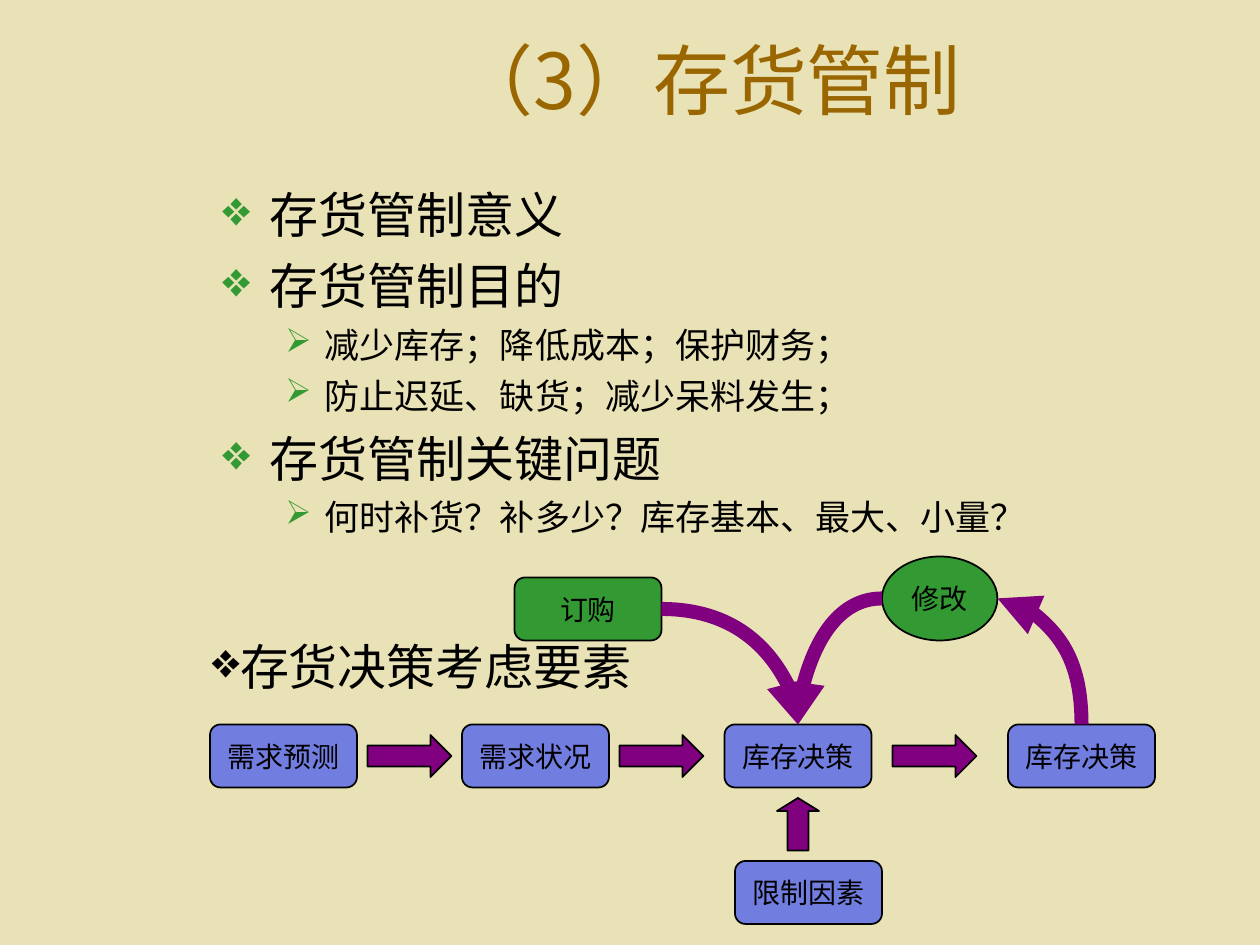
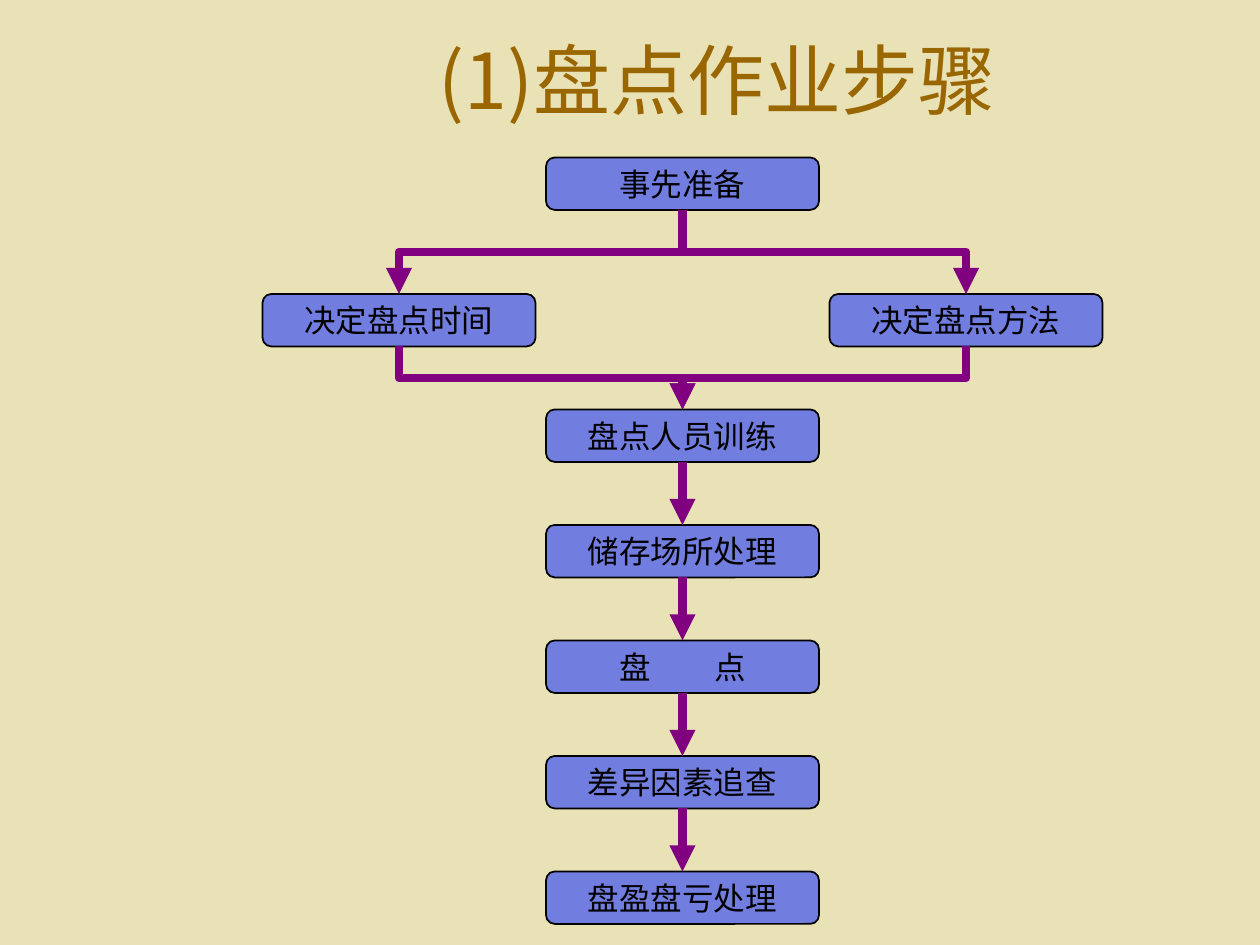
import pptx
import pptx.util
import pptx.dml.color
import pptx.enum.shapes
import pptx.enum.text
import pptx.oxml
import pptx.oxml.ns

Pt = pptx.util.Pt
Kind = pptx.enum.shapes.MSO_SHAPE
Link = pptx.enum.shapes.MSO_CONNECTOR
Align = pptx.enum.text.PP_ALIGN
Anchor = pptx.enum.text.MSO_ANCHOR
qn = pptx.oxml.ns.qn
NS = pptx.oxml.ns.nsdecls("a")

HEX = {"sand": "E9E2B6", "brown": "996600", "blue": "727DE0",
       "green": "339933", "plum": "800080", "black": "000000"}
RGB = {name: pptx.dml.color.RGBColor.from_string(val) for name, val in HEX.items()}
SERIF = "Times New Roman"
SANS = "Noto Sans CJK SC"


def add_node(slide, kind, box, fill, text="", size=16):
    """Add a black-edged shape with centred text."""
    node = slide.shapes.add_shape(kind, *map(Pt, box))
    node.shadow.inherit = False
    node.fill.solid()
    node.fill.fore_color.rgb = RGB[fill]
    node.line.color.rgb = RGB["black"]
    node.line.width = Pt(1)
    if text:
        frame = node.text_frame
        frame.word_wrap = False
        frame.vertical_anchor = Anchor.MIDDLE
        para = frame.paragraphs[0]
        para.text = text
        para.alignment = Align.CENTER
        para.font.name, para.font.size = SERIF, Pt(size)
        para.font.color.rgb = RGB["black"]
    return node


def add_link(slide, kind, box, width, turn=0, flip=None):
    """Add a plum arrow in a box that is then turned and flipped."""
    left, top, wide, high = box
    link = slide.shapes.add_connector(
        kind, Pt(left), Pt(top), Pt(left + wide), Pt(top + high))
    link.line.color.rgb = RGB["plum"]
    link.line.width = Pt(width)
    props = link.element.spPr
    props.find(qn("a:ln")).append(pptx.oxml.parse_xml(f'<a:tailEnd {NS} type="triangle"/>'))
    props.append(pptx.oxml.parse_xml(f"<a:effectLst {NS}/>"))
    frame = props.find(qn("a:xfrm"))
    if turn:
        frame.set("rot", str(turn * 60000))
    if flip:
        frame.set(flip, "1")
    return link


deck = pptx.Presentation()
deck.slide_width, deck.slide_height = Pt(720), Pt(540)

# Backgrounds and titles
slides = []
for title in ("（3）存货管制", " (1)盘点作业步骤"):
    slide = deck.slides.add_slide(deck.slide_layouts[6])
    slide.background.fill.solid()
    slide.background.fill.fore_color.rgb = RGB["sand"]
    frame = slide.shapes.add_textbox(Pt(108), Pt(0), Pt(594), Pt(90)).text_frame
    frame.word_wrap = True
    frame.vertical_anchor = Anchor.MIDDLE
    para = frame.paragraphs[0]
    para.text = title
    para.alignment = Align.CENTER
    para.font.name, para.font.size = SANS, Pt(44)
    para.font.color.rgb = RGB["brown"]
    slides.append(slide)
stock, count = slides

# Stock control: bulleted text
points = [(0, "存货管制意义"), (0, "存货管制目的"),
          (1, "减少库存；降低成本；保护财务；"),
          (1, "防止迟延、缺货；减少呆料发生；"),
          (0, "存货管制关键问题"),
          (1, "何时补货？补多少？库存基本、最大、小量？")]
# Per level: mark, mark size, left margin, indent, text size, space before
levels = [("❖", 100, 27, -27, 28, 7), ("➢", 95, 58.5, -22.5, 20, 5)]
lists = [((120, 102, 534, 216), True, "green", points),
         ((114, 360, 264, 41), False, "black", [(0, "存货决策考虑要素")])]

for box, wrap, tint, items in lists:
    frame = stock.shapes.add_textbox(*map(Pt, box)).text_frame
    frame.word_wrap = wrap
    for num, (level, text) in enumerate(items):
        mark, scale, left, indent, size, space = levels[level]
        para = frame.paragraphs[0] if num == 0 else frame.add_paragraph()
        para.text = text
        para.level = level
        if num:
            para.space_before = Pt(space)
        props = para._p.get_or_add_pPr()
        if wrap:
            props.set("marL", str(Pt(left)))
            props.set("indent", str(Pt(indent)))
        for xml in (f'<a:buClr {NS}><a:srgbClr val="{HEX[tint]}"/></a:buClr>',
                    f'<a:buSzPct {NS} val="{scale * 1000}"/>',
                    f'<a:buChar {NS} char="{mark}"/>'):
            props.append(pptx.oxml.parse_xml(xml))
        para.font.name, para.font.size = SERIF, Pt(size)
        para.font.color.rgb = RGB["black"]

# Stock control: nodes of the decision flow
for left, top, fill, text in [
        (120, 414, "blue", "需求预测"), (264, 414, "blue", "需求状况"),
        (414, 414, "blue", "库存决策"), (576, 414, "blue", "库存决策"),
        (420, 492, "blue", "限制因素"), (294, 330, "green", "订购")]:
    add_node(stock, Kind.FLOWCHART_ALTERNATE_PROCESS, (left, top, 84, 36), fill, text)
add_node(stock, Kind.OVAL, (504, 318, 66, 48), "green", "修改")

# Stock control: block arrows
for left in (210, 354, 510):
    add_node(stock, Kind.RIGHT_ARROW, (left, 420, 48, 24), "plum")
rise = add_node(stock, Kind.UP_ARROW, (444, 456, 24, 30), "plum")
rise.adjustments[1] = 0.31

# Stock control: curved arrows
for box, turn, flip in [((558, 354, 72, 48), 270, "flipV"),
                        ((456, 342, 48, 72), 180, "flipV"),
                        ((378, 348, 78, 66), 0, None)]:
    curve = add_link(stock, Link.CURVE, box, 8, turn, flip)
    curve.element.spPr.find(qn("a:prstGeom")).set("prst", "curvedConnector2")

# Stock count: step boxes
WIDE, HIGH = 156, 30
MID, WEST, EAST = 312, 150, 474
FIRST, PAIR, MAIN, STEP = 90, 168, 234, 66
steps = ["盘点人员训练", "储存场所处理", "盘 点", "差异因素追查", "盘盈盘亏处理"]
cells = [(MID, FIRST, "事先准备"), (WEST, PAIR, "决定盘点时间"),
         (EAST, PAIR, "决定盘点方法")]
cells += [(MID, MAIN + STEP * num, text) for num, text in enumerate(steps)]
nodes = [add_node(count, Kind.ROUNDED_RECTANGLE, (left, top, WIDE, HIGH), "blue", text, 18)
         for left, top, text in cells]

# Wide gap between the two letters of the count step
para = nodes[5].text_frame.paragraphs[0]
para.text = ""
for text in "盘 点":
    run = para.add_run()
    run.text = text
    if text == " ":
        run._r.get_or_add_rPr().set("spc", "3200")

# Stock count: bent arrows, out to the pair and back to the middle
for start, end, top, foot in [(MID, WEST, FIRST + HIGH, PAIR),
                              (MID, EAST, FIRST + HIGH, PAIR),
                              (WEST, MID, PAIR + HIGH, MAIN),
                              (EAST, MID, PAIR + HIGH, MAIN)]:
    drop, span = foot - top, abs(end - start)
    left = (start + end + WIDE - drop) / 2
    turn, flip = (90, None) if end < start else (270, "flipH")
    add_link(count, Link.ELBOW, (left, (top + foot - span) / 2, drop, span), 5, turn, flip)

# Stock count: straight arrows down the main line
for upper, lower in zip(nodes[3:], nodes[4:]):
    link = add_link(count, Link.STRAIGHT, (MID, MAIN, 0, STEP - HIGH), 5)
    link.begin_connect(upper, 2)
    link.end_connect(lower, 0)

deck.save("out.pptx")
